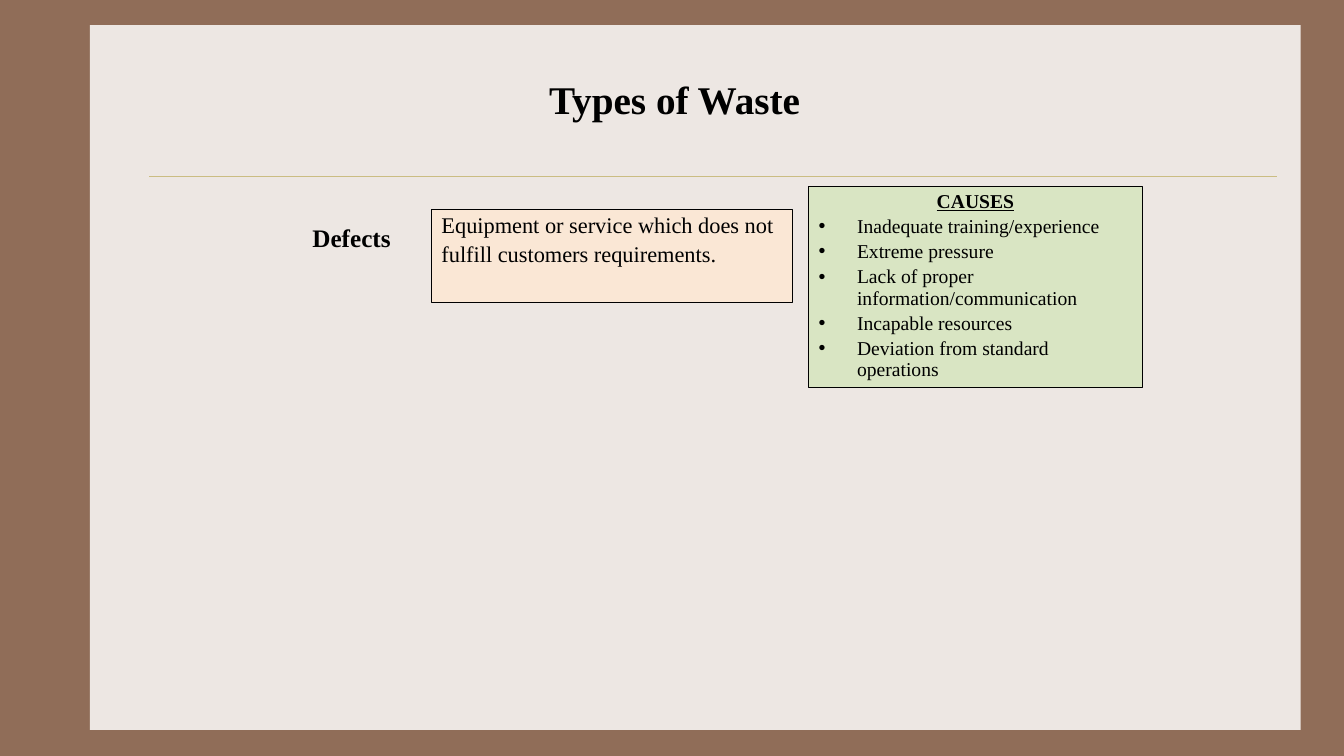
from lxml import etree
from pptx import Presentation
from pptx.dml.color import RGBColor
from pptx.enum.shapes import MSO_CONNECTOR, MSO_SHAPE
from pptx.enum.text import MSO_ANCHOR, MSO_AUTO_SIZE, PP_ALIGN
from pptx.oxml.ns import qn
from pptx.util import Inches, Pt

RECTANGLE = MSO_SHAPE.RECTANGLE
STRAIGHT = MSO_CONNECTOR.STRAIGHT
LEFT, CENTER = PP_ALIGN.LEFT, PP_ALIGN.CENTER
TOP, MIDDLE = MSO_ANCHOR.TOP, MSO_ANCHOR.MIDDLE
NO_FIT = MSO_AUTO_SIZE.NONE

COLORS = {
    "frame": "906D58", "panel": "EDE7E3", "rule": "CBBD83",
    "text": "000000", "definition": "FAE7D5", "causes": "D9E5C3",
}
FONT = "Times New Roman"
HANGING = Inches(0.38)


class SlideBuilder:
    def __init__(self, deck, layout_index):
        self.page = deck.slides.add_slide(deck.slide_layouts[layout_index])

    def color(self, name):
        return RGBColor.from_string(COLORS[name])

    def background(self, name):
        fill = self.page.background.fill
        fill.solid()
        fill.fore_color.rgb = self.color(name)

    def paint(self, box, fill, outlined=True):
        box.fill.solid()
        box.fill.fore_color.rgb = self.color(fill)
        if outlined:
            box.line.color.rgb = self.color("text")
            box.line.width = Pt(0.75)
        else:
            box.line.fill.background()

    def rectangle(self, place, fill, outlined=True):
        box = self.page.shapes.add_shape(RECTANGLE, *map(Inches, place))
        box.shadow.inherit = False
        self.paint(box, fill, outlined)
        return box

    def rule(self, left, right, height):
        ends = map(Inches, (left, height, right, height))
        line = self.page.shapes.add_connector(STRAIGHT, *ends)
        line.line.color.rgb = self.color("rule")
        line.line.width = Pt(0.25)
        etree.SubElement(line.element.spPr, qn("a:effectLst"))

    def placeholder(self, index, place):
        box = self.page.placeholders[index]
        box.left, box.top, box.width, box.height = map(Inches, place)
        box.element.getparent().append(box.element)  # bring to front
        return box

    def label(self, place):
        return self.page.shapes.add_textbox(*map(Inches, place))

    def frame(self, box, anchor=TOP, wrap=True):
        frame = box.text_frame
        settings = {"word_wrap": wrap, "auto_size": NO_FIT, "vertical_anchor": anchor}
        for name, value in settings.items():
            setattr(frame, name, value)
        return frame

    def add_text(self, para, text, size, align=LEFT, spacing=1.0, before=0, **styles):
        layout = {"alignment": align, "line_spacing": spacing, "space_before": Pt(before)}
        for name, value in layout.items():
            setattr(para, name, value)
        span = para.add_run()
        span.text = text
        font = {"name": FONT, "size": Pt(size), "bold": False, **styles}
        for name, value in font.items():
            setattr(span.font, name, value)
        span.font.color.rgb = self.color("text")

    def bullet(self, para, mark=None):
        props = para._p.get_or_add_pPr()
        indent = HANGING if mark else 0
        props.set("marL", str(indent))
        props.set("indent", str(-indent))
        if mark:
            etree.SubElement(props, qn("a:buFont"), typeface="Arial")
            etree.SubElement(props, qn("a:buChar"), char=mark)
        else:
            etree.SubElement(props, qn("a:buNone"))

    def paragraphs(self, frame, lines, size):
        for number, line in enumerate(lines):
            para = frame.paragraphs[0] if number == 0 else frame.add_paragraph()
            self.add_text(para, line["text"], size, line.get("align", LEFT), 0.9,
                          0.2 * size, **line.get("styles", {}))
            self.bullet(para, line.get("mark"))


deck = Presentation()
deck.slide_width, deck.slide_height = Inches(13.33), Inches(7.5)
slide = SlideBuilder(deck, 1)

# Backdrop
slide.background("frame")
slide.rectangle((0.89, 0.25, 12.01, 6.99), "panel", outlined=False)
slide.rule(1.48, 12.67, 1.75)

# Title
title = slide.frame(slide.placeholder(0, (5.33, 0.7, 2.72, 0.57)), MIDDLE, wrap=False)
slide.add_text(title.paragraphs[0], "Types of Waste", 28, CENTER, bold=True)

# Waste type
waste = slide.frame(slide.label((3, 2.16, 0.99, 0.4)), MIDDLE, wrap=False)
slide.add_text(waste.paragraphs[0], "Defects", 18, bold=True)

# Definition
definition = slide.frame(slide.rectangle((4.28, 2.08, 3.58, 0.92), "definition"))
slide.paragraphs(definition, [
    {"text": "Equipment or service which does not"},
    {"text": "fulfill customers requirements."},
], 16)

# Causes
causes_box = slide.placeholder(1, (8.02, 1.85, 3.31, 1.99))
slide.paint(causes_box, "causes")
causes = [
    "Inadequate training/experience",
    "Extreme pressure",
    "Lack of proper information/communication",
    "Incapable resources",
    "Deviation from standard operations",
]
heading = {"text": "CAUSES", "align": CENTER, "styles": {"bold": True, "underline": True}}
slide.paragraphs(slide.frame(causes_box),
                 [heading] + [{"text": cause, "mark": "•"} for cause in causes], 14)

deck.save("out.pptx")
